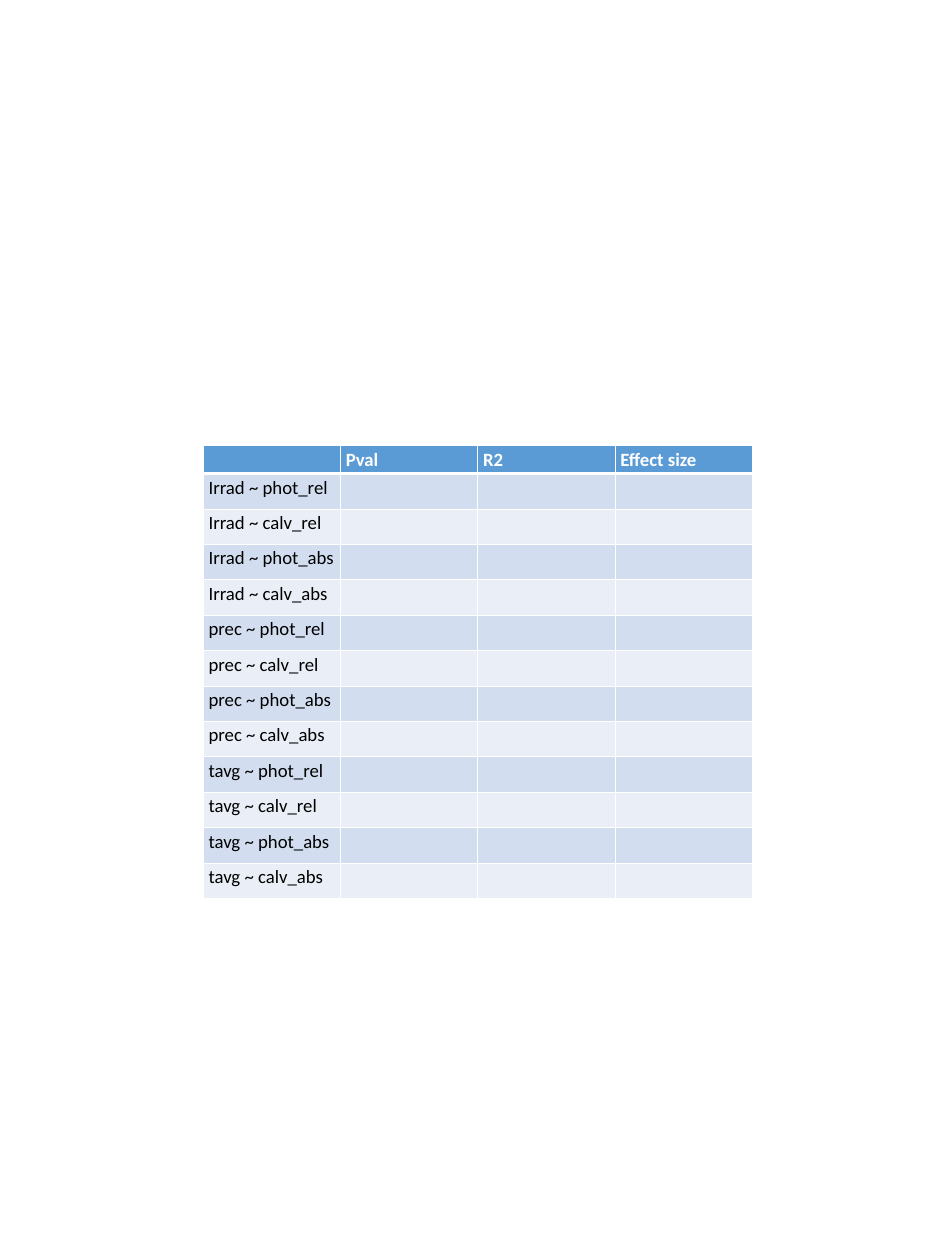
from itertools import product

from lxml.etree import SubElement
from pptx import Presentation
from pptx.dml.color import RGBColor
from pptx.oxml.ns import qn
from pptx.util import Pt

COLORS = {
    "head": "5B9BD5",
    "odd": "D2DEEF",
    "even": "EAEFF7",
    "white": "FFFFFF",
    "black": "000000",
}
HEADS = ["", "Pval", "R2", "Effect size"]
CLIMATE = ["Irrad", "prec", "tavg"]
SCALES = ["rel", "abs"]
GENES = ["phot", "calv"]
SIZE = 15


def rgb(name):
    return RGBColor.from_string(COLORS[name])


def add_edge(cell, side, width):
    line = SubElement(cell._tc.get_or_add_tcPr(), qn(f"a:{side}"), w=str(Pt(width)))
    fill = SubElement(line, qn("a:solidFill"))
    SubElement(fill, qn("a:srgbClr"), val=COLORS["white"])


def style_cell(cell, text, row):
    cell.margin_left = cell.margin_right = Pt(4.1)
    cell.margin_top = cell.margin_bottom = Pt(2.05)
    for side in ("lnL", "lnR", "lnT", "lnB"):
        thick = (row, side) in ((0, "lnB"), (1, "lnT"))
        add_edge(cell, side, 3 if thick else 1)
    cell.fill.solid()
    band = "odd" if row % 2 else "even"
    cell.fill.fore_color.rgb = rgb(band if row else "head")
    cell.text = text
    par = cell.text_frame.paragraphs[0]
    par.font.name = "Calibri"
    par.font.size = Pt(SIZE)
    par.font.bold = row == 0
    par.font.color.rgb = rgb("black" if row else "white")
    SubElement(par._p, qn("a:endParaRPr"), sz=str(SIZE * 100))


def add_grid(slide, rows):
    frame = slide.shapes.add_table(
        len(rows), len(HEADS), Pt(162.8), Pt(356.5), Pt(439.2), Pt(362.3)
    )
    table = frame.table
    for col in table.columns:
        col.width = Pt(109.8)
    for i, texts in enumerate(rows):
        table.rows[i].height = Pt(28.33 if i else 22.3)
        for j, text in enumerate(texts):
            style_cell(table.cell(i, j), text, i)


def main():
    deck = Presentation()
    deck.slide_width, deck.slide_height = Pt(756), Pt(1008)
    slide = deck.slides.add_slide(deck.slide_layouts[6])
    models = [
        [f"{factor} ~ {gene}_{scale}", "", "", ""]
        for factor, scale, gene in product(CLIMATE, SCALES, GENES)
    ]
    add_grid(slide, [HEADS] + models)
    deck.save("out.pptx")


if __name__ == "__main__":
    main()
